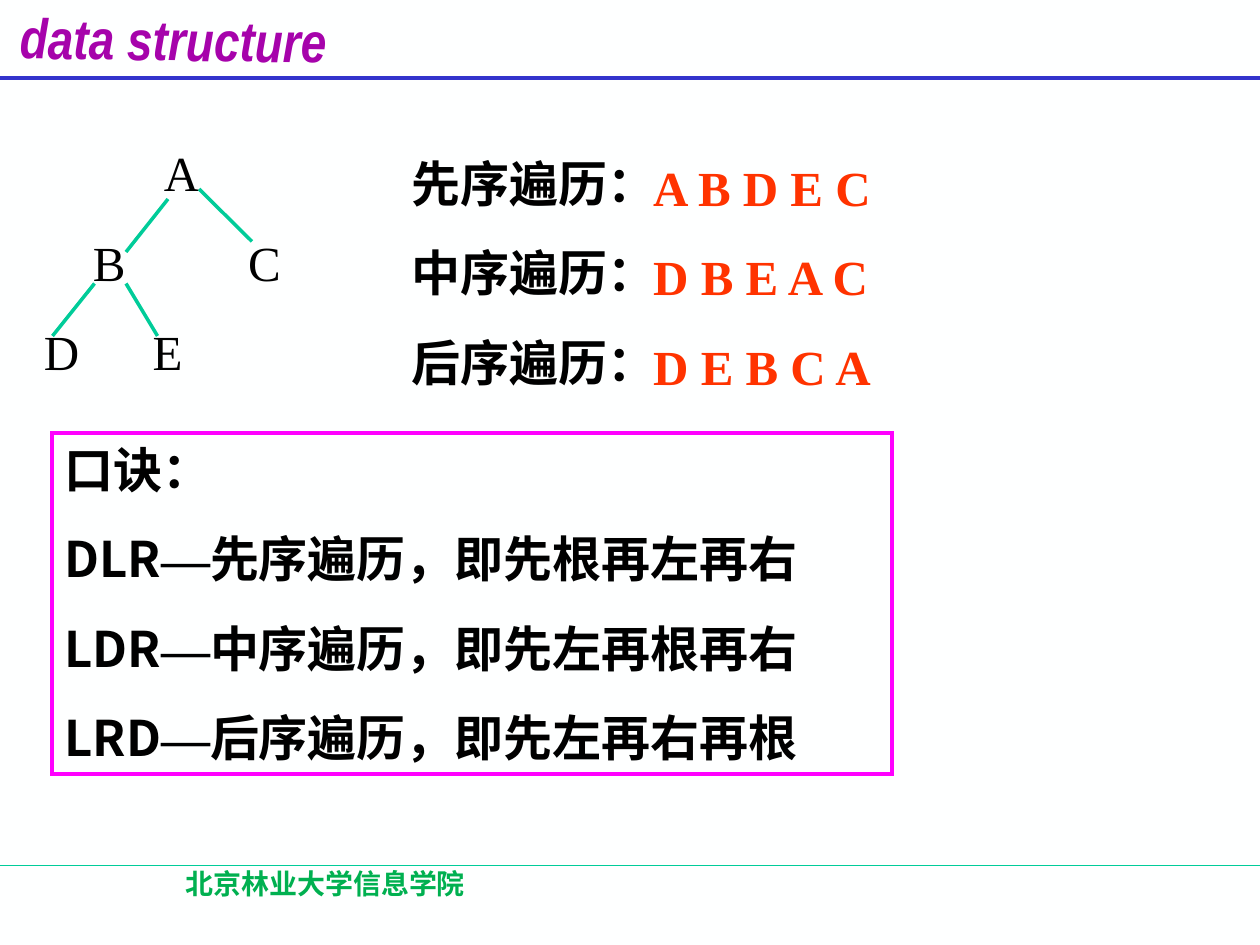
from lxml import etree
from pptx import Presentation
from pptx.dml.color import RGBColor
from pptx.enum import shapes, text
from pptx.oxml import ns
from pptx.util import Pt

BACKGROUND = RGBColor(0xFE, 0xFF, 0xFF)
BLACK = RGBColor(0, 0, 0)
PURPLE = RGBColor(0xA6, 0x03, 0xAB)
BLUE = RGBColor(0x33, 0x33, 0xCC)
TEAL = RGBColor(0x00, 0xCC, 0x99)
GREEN = RGBColor(0x00, 0xB0, 0x50)
ORANGE = RGBColor(0xFF, 0x33, 0x00)
MAGENTA = RGBColor(0xFF, 0x00, 0xFF)

TIMES = "Times New Roman"
NOTO = "Noto Sans CJK SC"
NARROW = "Arial Narrow"

BODY_SIZE, BODY_LEADING, BODY_GAP = 28, 33.6, 17.5

BRANCHES = [
    (96, 113.75, 72, 144),
    (113.75, 108, 144, 138),
    (72, 162, 90, 192),
    (54, 162, 30, 192),
]
# Each level of the tree: node and its distance from the left text edge.
TREE_LEVELS = [
    [("A", 68.6)],
    [("B", 28), ("C", 116.7)],
    [("D", 0), ("E", 62.2)],
]
TRAVERSALS = ["先序遍历：", "中序遍历：", "后序遍历："]
VISIT_ORDERS = ["A B D E C", "D B E A C", "D E B C A"]
MNEMONICS = [
    ("DLR", "先序遍历，即先根再左再右"),
    ("LDR", "中序遍历，即先左再根再右"),
    ("LRD", "后序遍历，即先左再右再根"),
]


def place(shape, left, top, width, height):
    shape.left, shape.top = Pt(left), Pt(top)
    shape.width, shape.height = Pt(width), Pt(height)


def add_run(paragraph, wording, font_name, size, color, bold=False, italic=False):
    run = paragraph.add_run()
    run.text = wording
    font = run.font
    font.name, font.size = font_name, Pt(size)
    font.bold, font.italic = bold, italic
    font.color.rgb = color
    east_asian = etree.SubElement(font._element, ns.qn("a:ea"))
    east_asian.set("typeface", NOTO)


def add_tab_stops(paragraph, positions):
    tab_list = etree.SubElement(paragraph._p.get_or_add_pPr(), ns.qn("a:tabLst"))
    for position in positions:
        stop = etree.SubElement(tab_list, ns.qn("a:tab"))
        stop.set("pos", str(Pt(position)))
        stop.set("algn", "l")


def write_lines(frame, lines, color, bold, align=text.PP_ALIGN.LEFT):
    """Fill a frame with lines, each a list of (wording, font name) runs."""
    frame.word_wrap = True
    frame.auto_size = text.MSO_AUTO_SIZE.SHAPE_TO_FIT_TEXT
    frame.vertical_anchor = text.MSO_ANCHOR.TOP
    for index, runs in enumerate(lines):
        paragraph = frame.add_paragraph() if index else frame.paragraphs[0]
        paragraph.alignment = align
        paragraph.line_spacing = Pt(BODY_LEADING)
        paragraph.space_before = Pt(BODY_GAP if index else 0)
        for wording, font_name in runs:
            add_run(paragraph, wording, font_name, BODY_SIZE, color, bold)


def add_text_block(slide, box, lines, color, bold, align=text.PP_ALIGN.LEFT):
    block = slide.shapes.add_textbox(*map(Pt, box))
    write_lines(block.text_frame, lines, color, bold, align)
    return block


def add_line(slide, ends, color, weight):
    line = slide.shapes.add_connector(
        shapes.MSO_CONNECTOR.STRAIGHT, *map(Pt, ends))
    line.line.color.rgb = color
    line.line.width = Pt(weight)
    etree.SubElement(line._element.spPr, ns.qn("a:effectLst"))


def add_course_title(slide):
    title = slide.shapes.title
    place(title, -1, -0.72, 200, 38.88)
    title.rotation = 0.8
    frame = title.text_frame
    frame.word_wrap = False
    frame.auto_size = text.MSO_AUTO_SIZE.NONE
    frame.vertical_anchor = text.MSO_ANCHOR.TOP
    heading = frame.paragraphs[0]
    heading.alignment = text.PP_ALIGN.CENTER
    add_run(heading, "data structure", NARROW, 32, PURPLE, True, True)


def add_school_footer(slide):
    footer = slide.shapes.add_textbox(Pt(37), Pt(491.4), Pt(298), Pt(36))
    footer.text_frame.word_wrap = True
    school = footer.text_frame.paragraphs[0]
    school.alignment = text.PP_ALIGN.CENTER
    add_run(school, "北京林业大学信息学院", NOTO, 16, GREEN, True)


def add_tree(slide):
    lines = []
    for level in TREE_LEVELS:
        nodes = "".join(("\t" if offset else "") + node for node, offset in level)
        lines.append([(nodes, TIMES)])
    nodes_block = add_text_block(slide, (18, 78, 198, 143.3), lines, BLACK, False)
    for paragraph, level in zip(nodes_block.text_frame.paragraphs, TREE_LEVELS):
        add_tab_stops(paragraph, [offset for _, offset in level if offset])
    for branch in BRANCHES:
        add_line(slide, branch, TEAL, 2)


def add_mnemonic_box(slide):
    box = slide.shapes.add_shape(
        shapes.MSO_SHAPE.RECTANGLE, Pt(29.8), Pt(247.7), Pt(480), Pt(194.4))
    box.shadow.inherit = False
    box.fill.background()
    box.line.color.rgb = MAGENTA
    box.line.width = Pt(2.25)
    corner = etree.SubElement(box.line._ln, ns.qn("a:miter"))
    corner.set("lim", "800000")
    lines = [[("口诀：", NOTO)]]
    lines += [[(code, NOTO), ("—", TIMES), (meaning, NOTO)]
              for code, meaning in MNEMONICS]
    write_lines(box.text_frame, lines, BLACK, True)


def main():
    deck = Presentation()
    deck.slide_width, deck.slide_height = Pt(720), Pt(540)
    slide = deck.slides.add_slide(deck.slide_layouts[5])
    slide.background.fill.solid()
    slide.background.fill.fore_color.rgb = BACKGROUND

    add_line(slide, (0, 494.75, 720, 494.75), TEAL, 0.75)
    add_line(slide, (0, 44.6, 720, 44.6), BLUE, 2.25)
    add_course_title(slide)
    add_school_footer(slide)
    add_text_block(slide, (228.2, 84.2, 160.6, 143.3),
                   [[(name, TIMES)] for name in TRAVERSALS],
                   BLACK, True, text.PP_ALIGN.JUSTIFY)
    add_tree(slide)
    add_text_block(slide, (366.2, 86.4, 144, 143.3),
                   [[(order, TIMES)] for order in VISIT_ORDERS], ORANGE, True)
    add_mnemonic_box(slide)
    deck.save("out.pptx")


if __name__ == "__main__":
    main()
